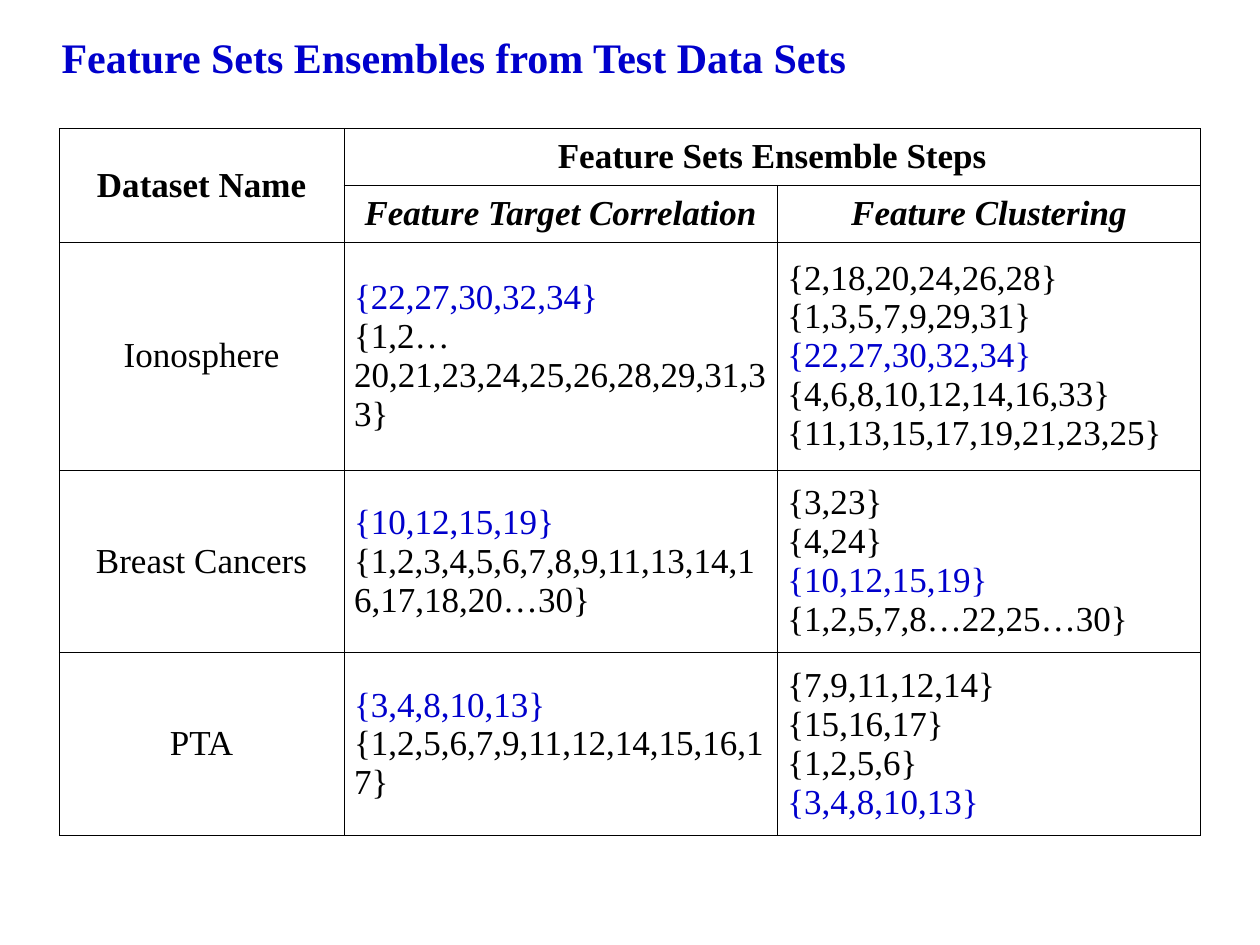
from dataclasses import dataclass

from lxml import etree
from pptx import Presentation
from pptx import util as u
from pptx.dml.color import RGBColor
from pptx.enum import text
from pptx.oxml import ns

FONT = "Times New Roman"
BLACK = "000000"
BLUE = "0000CC"
COLUMN_WIDTHS = (2.26, 3.44, 3.36)
ROW_HEIGHTS = (0.45, 0.45, 1.81, 1.45, 1.45)


@dataclass
class Dataset:
    name: str
    correlated: str  # the set found by both steps, shown in blue
    remaining: str
    clusters: tuple[str, ...]


DATASETS = (
    Dataset("Ionosphere", "{22,27,30,32,34}",
            "{1,2…20,21,23,24,25,26,28,29,31,33}",
            ("{2,18,20,24,26,28}", "{1,3,5,7,9,29,31}", "{22,27,30,32,34}",
             "{4,6,8,10,12,14,16,33}", "{11,13,15,17,19,21,23,25}")),
    Dataset("Breast Cancers", "{10,12,15,19}",
            "{1,2,3,4,5,6,7,8,9,11,13,14,16,17,18,20…30}",
            ("{3,23}", "{4,24}", "{10,12,15,19}", "{1,2,5,7,8…22,25…30}")),
    Dataset("PTA", "{3,4,8,10,13}",
            "{1,2,5,6,7,9,11,12,14,15,16,17}",
            ("{7,9,11,12,14}", "{15,16,17}", "{1,2,5,6}", "{3,4,8,10,13}")),
)


def format_para(para, size: float, color: str = BLACK,
                bold: bool = False, italic: bool = False) -> None:
    for span in para.runs:
        span.font.name = FONT
        span.font.size = u.Pt(size)
        span.font.bold = bold
        span.font.italic = italic
        span.font.color.rgb = RGBColor.from_string(color)


def draw_borders(cell, width: float = 0.45) -> None:
    properties = cell._tc.get_or_add_tcPr()
    for position, side in enumerate(("lnL", "lnR", "lnT", "lnB")):
        line = etree.Element(ns.qn(f"a:{side}"), w=str(u.Pt(width)))
        fill = etree.SubElement(line, ns.qn("a:solidFill"))
        etree.SubElement(fill, ns.qn("a:srgbClr"), val=BLACK)
        properties.insert(position, line)


def fill_cell(cell, lines: tuple[str, ...], highlight: str = "",
              centered: bool = False, bold: bool = False,
              italic: bool = False) -> None:
    cell.text_frame.text = "\n".join(lines)
    for para in cell.text_frame.paragraphs:
        para.alignment = (text.PP_ALIGN.CENTER if centered
                          else text.PP_ALIGN.JUSTIFY)
        color = BLUE if para.text == highlight else BLACK
        format_para(para, 20, color, bold, italic)


def add_title(page, title: str) -> None:
    box = page.shapes.add_textbox(u.Inches(0.39), u.Inches(0.2),
                                  u.Inches(9.81), u.Inches(0.5))
    box.text_frame.word_wrap = True
    box.text_frame.auto_size = text.MSO_AUTO_SIZE.SHAPE_TO_FIT_TEXT
    box.text_frame.text = title
    para = box.text_frame.paragraphs[0]
    para.space_before = u.Pt(15)
    format_para(para, 24, BLUE, bold=True)


def add_feature_table(page) -> None:
    table = page.shapes.add_table(
        len(ROW_HEIGHTS), len(COLUMN_WIDTHS), u.Inches(0.47), u.Inches(1.02),
        u.Inches(sum(COLUMN_WIDTHS)), u.Inches(sum(ROW_HEIGHTS))).table
    table.first_row = table.horz_banding = False
    for column, width in zip(table.columns, COLUMN_WIDTHS):
        column.width = u.Inches(width)
    for row, height in zip(table.rows, ROW_HEIGHTS):
        row.height = u.Inches(height)

    # Plain cells with thin borders
    for cell in table.iter_cells():
        cell.fill.background()
        cell.vertical_anchor = text.MSO_ANCHOR.MIDDLE
        cell.margin_left = cell.margin_right = u.Inches(0.08)
        draw_borders(cell)

    # Two-level header
    table.cell(0, 0).merge(table.cell(1, 0))
    table.cell(0, 1).merge(table.cell(0, 2))
    for row, column, label in ((0, 0, "Dataset Name"),
                               (0, 1, "Feature Sets Ensemble Steps"),
                               (1, 1, "Feature Target Correlation"),
                               (1, 2, "Feature Clustering")):
        fill_cell(table.cell(row, column), (label,), centered=True,
                  bold=True, italic=row == 1)

    # One row per dataset
    for row, dataset in enumerate(DATASETS, start=2):
        shared = dataset.correlated
        fill_cell(table.cell(row, 0), (dataset.name,), centered=True)
        fill_cell(table.cell(row, 1), (shared, dataset.remaining), shared)
        fill_cell(table.cell(row, 2), dataset.clusters, shared)


def main() -> None:
    deck = Presentation()
    deck.slide_width, deck.slide_height = u.Inches(10), u.Inches(7.5)
    page = deck.slides.add_slide(deck.slide_layouts[6])
    add_feature_table(page)
    add_title(page, "Feature Sets Ensembles from Test Data Sets")
    deck.save("out.pptx")


if __name__ == "__main__":
    main()
